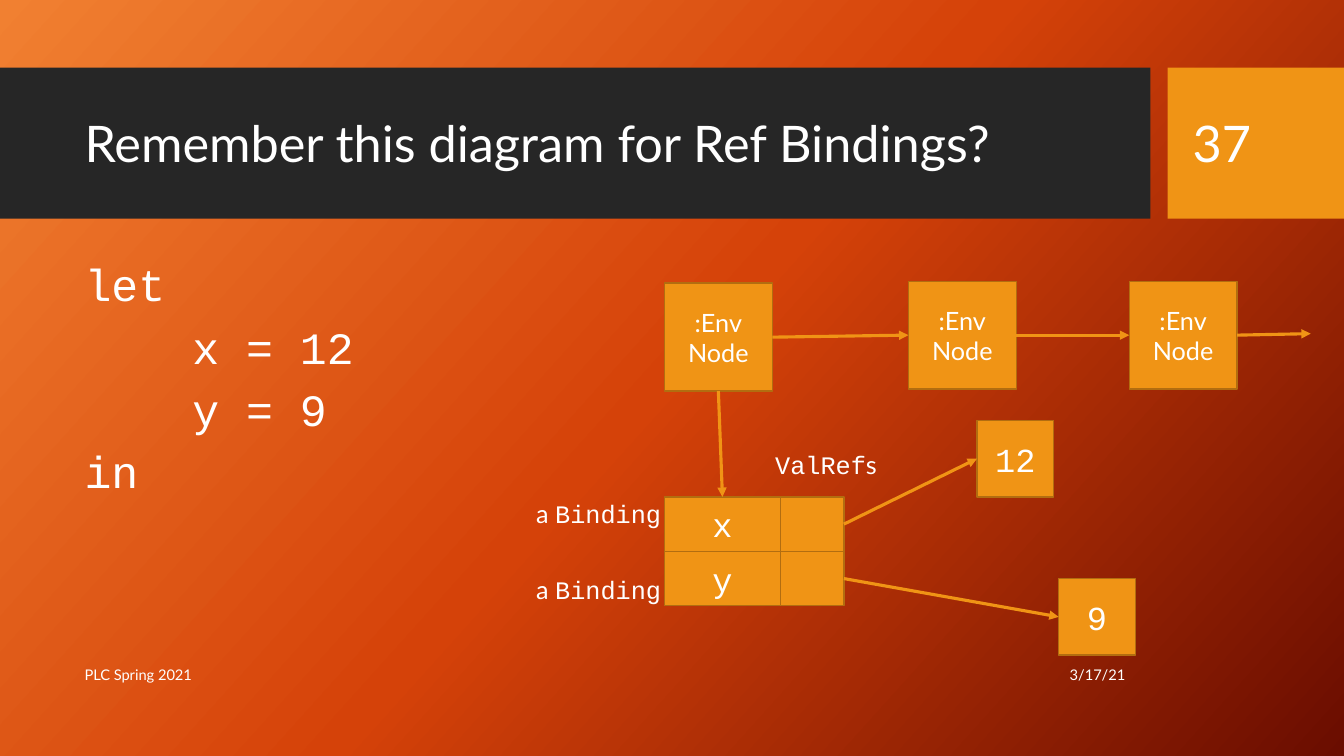
from copy import deepcopy
from dataclasses import dataclass

from pptx import Presentation
from pptx.dml.color import RGBColor
from pptx.enum.shapes import MSO_CONNECTOR, MSO_SHAPE
from pptx.enum.text import MSO_ANCHOR as Anchor, PP_ALIGN as Align
from pptx.oxml.ns import qn
from pptx.oxml.xmlchemy import OxmlElement
from pptx.shapes.autoshape import Shape
from pptx.shapes.connector import Connector
from pptx.slide import Slide
from pptx.text.text import TextFrame
from pptx.util import Inches, Pt


@dataclass(frozen=True)
class Theme:
    """Colours, fonts and type sizes of the slide."""
    gradient: tuple[str, ...] = ("F18031", "D54209", "6A0D00")
    gradient_angle: int = 318
    band: str = "262626"
    accent: str = "F09415"
    outline: str = "B26D10"
    text: str = "FFFFFF"
    sans: str = "Lato"
    mono: str = "Courier New"
    title: float = 36
    code: float = 32
    value: float = 24
    label: float = 18
    footer: float = 10.5


THEME = Theme()


@dataclass(frozen=True)
class Area:
    """A rectangle in inches."""
    left: float
    top: float
    width: float
    height: float

    def lengths(self) -> tuple[Inches, ...]:
        """Give the rectangle as slide lengths."""
        return tuple(map(Inches, (self.left, self.top, self.width, self.height)))


@dataclass(frozen=True)
class Caption:
    """A text line with its place, size and alignment."""
    text: str
    area: Area
    size: float
    align: Align = Align.LEFT


@dataclass(frozen=True)
class Label:
    """A diagram label made of text and font pairs."""
    wording: tuple[tuple[str, str], ...]
    area: Area


TOP, LEFT, BOTTOM, RIGHT = range(4)
NODE_SIDE, VALUE_SIDE = 1.07, 0.76
TABLE_LEFT, TABLE_TOP, ROW_HEIGHT = 6.59, 4.93, 0.54
NAME_WIDTH, REF_WIDTH = 1.15, 0.63
NODE_PLACES = ((6.59, 2.81), (9.01, 2.79), (11.2, 2.79))
BINDINGS = (("x", "12", 9.69, 4.17), ("y", "9", 10.5, 5.74))
CODE_INDENT = 1.07
CODE_LINES = (("let", 0), ("x = 12", 1), ("y = 9", 1), ("in", 0))
CODE_AREA = Area(0.74, 2.56, 5.14, 2.63)

CAPTIONS = (
    Caption("Remember this diagram for Ref Bindings?", Area(0.74, 0.82, 10.51, 1.18), THEME.title),
    Caption("37", Area(11.73, 0.82, 1.26, 1.19), THEME.title),
    Caption("PLC Spring 2021", Area(0.74, 6.49, 7.51, 0.4), THEME.footer),
    Caption("3/17/21", Area(8.26, 6.49, 3, 0.4), THEME.footer, Align.RIGHT),
)
BINDING_WORDING = (("a ", THEME.sans), ("Binding", THEME.mono))
LABELS = (
    Label((("ValRef", THEME.mono), ("s", THEME.sans)), Area(7.59, 4.41, 1.21, 0.4)),
    Label(BINDING_WORDING, Area(5.22, 4.89, 1.47, 0.4)),
    Label(BINDING_WORDING, Area(5.22, 5.65, 1.47, 0.4)),
)


def color(value: str) -> RGBColor:
    """Turn a hex string into a colour."""
    return RGBColor.from_string(value)


def format_text(frame: TextFrame, font: str, size: float, align: Align) -> None:
    """Give every run of a frame the same look."""
    for paragraph in frame.paragraphs:
        paragraph.alignment = align
        for run in paragraph.runs:
            run.font.name = font
            run.font.size = Pt(size)
            run.font.color.rgb = color(THEME.text)


def paint_background(slide: Slide) -> None:
    """Fill the slide with the three-stop gradient."""
    fill = slide.background.fill
    fill.gradient()
    fill.gradient_angle = THEME.gradient_angle
    stops = slide.element.find(".//" + qn("a:gsLst"))
    stops.append(deepcopy(stops[0]))
    last = len(THEME.gradient) - 1
    for index, stop in enumerate(fill.gradient_stops):
        stop.position = index / last
        stop.color.rgb = color(THEME.gradient[index])


def add_block(slide: Slide, area: Area, fill: str) -> Shape:
    """Draw a flat rectangle without outline."""
    block = slide.shapes.add_shape(MSO_SHAPE.RECTANGLE, *area.lengths())
    block.shadow.inherit = False
    block.fill.solid()
    block.fill.fore_color.rgb = color(fill)
    block.line.fill.background()
    return block


def add_box(slide: Slide, area: Area, text: str = "",
            font: str = THEME.mono, size: float = THEME.value) -> Shape:
    """Draw an outlined diagram box with centred text."""
    box = add_block(slide, area, THEME.accent)
    box.line.color.rgb = color(THEME.outline)
    box.line.width = Pt(1)
    box.text_frame.text = text
    box.text_frame.vertical_anchor = Anchor.MIDDLE
    format_text(box.text_frame, font, size, Align.CENTER)
    return box


def add_arrow(slide: Slide, start: Shape, side: int,
              end: tuple[float, float] = (0, 0)) -> Connector:
    """Draw an arrow from the side of a box to a point."""
    x, y = map(Inches, end)
    arrow = slide.shapes.add_connector(MSO_CONNECTOR.STRAIGHT, x, y, x, y)
    arrow.begin_connect(start, side)
    arrow.line.color.rgb = color(THEME.accent)
    arrow.line.width = Pt(2.25)
    head = OxmlElement("a:tailEnd")
    head.set("type", "triangle")
    properties = arrow.element.spPr
    properties.find(qn("a:ln")).append(head)
    properties.append(OxmlElement("a:effectLst"))
    return arrow


def add_caption(slide: Slide, caption: Caption) -> None:
    """Write a title, number or footer text."""
    frame = slide.shapes.add_textbox(*caption.area.lengths()).text_frame
    frame.word_wrap = True
    frame.vertical_anchor = Anchor.MIDDLE
    frame.text = caption.text
    format_text(frame, THEME.sans, caption.size, caption.align)


def add_label(slide: Slide, label: Label) -> None:
    """Write a diagram label in mixed fonts."""
    frame = slide.shapes.add_textbox(*label.area.lengths()).text_frame
    frame.word_wrap = False
    for text, _ in label.wording:
        frame.paragraphs[0].add_run().text = text
    format_text(frame, THEME.sans, THEME.label, Align.LEFT)
    for run, (_, font) in zip(frame.paragraphs[0].runs, label.wording):
        run.font.name = font


def add_code(slide: Slide) -> None:
    """Write the let expression with indented bindings."""
    frame = slide.shapes.add_textbox(*CODE_AREA.lengths()).text_frame
    frame.word_wrap = True
    frame.text = "\n".join(text for text, _ in CODE_LINES)
    format_text(frame, THEME.mono, THEME.code, Align.LEFT)
    for paragraph, (_, level) in zip(frame.paragraphs, CODE_LINES):
        paragraph.line_spacing = 0.9
        paragraph.space_before = Pt(10)
        paragraph._p.get_or_add_pPr().set("marL", str(Inches(level * CODE_INDENT)))


def add_diagram(slide: Slide) -> None:
    """Draw the environment chain and the bindings with their values."""
    nodes = [add_box(slide, Area(left, top, NODE_SIDE, NODE_SIDE), ":Env\nNode",
                     THEME.sans, THEME.label) for left, top in NODE_PLACES]
    for node, following in zip(nodes, nodes[1:]):
        add_arrow(slide, node, RIGHT).end_connect(following, LEFT)
    add_arrow(slide, nodes[-1], RIGHT, (13, 3.31))
    names = []
    for row, (name, value, left, top) in enumerate(BINDINGS):
        row_top = TABLE_TOP + row * ROW_HEIGHT
        names.append(add_box(slide, Area(TABLE_LEFT, row_top, NAME_WIDTH, ROW_HEIGHT), name))
        ref = add_box(slide, Area(TABLE_LEFT + NAME_WIDTH, row_top, REF_WIDTH, ROW_HEIGHT))
        target = add_box(slide, Area(left, top, VALUE_SIDE, VALUE_SIDE), value)
        add_arrow(slide, ref, RIGHT).end_connect(target, LEFT)
    add_arrow(slide, nodes[0], BOTTOM).end_connect(names[0], TOP)


def main() -> None:
    """Build and save the slide."""
    deck = Presentation()
    deck.slide_width, deck.slide_height = Inches(13.33), Inches(7.5)
    slide = deck.slides.add_slide(deck.slide_layouts[6])
    paint_background(slide)
    add_block(slide, Area(0, 0.67, 11.41, 1.5), THEME.band)
    add_block(slide, Area(11.58, 0.67, 1.75, 1.5), THEME.accent)
    for caption in CAPTIONS:
        add_caption(slide, caption)
    add_code(slide)
    add_diagram(slide)
    for label in LABELS:
        add_label(slide, label)
    deck.save("out.pptx")


main()
